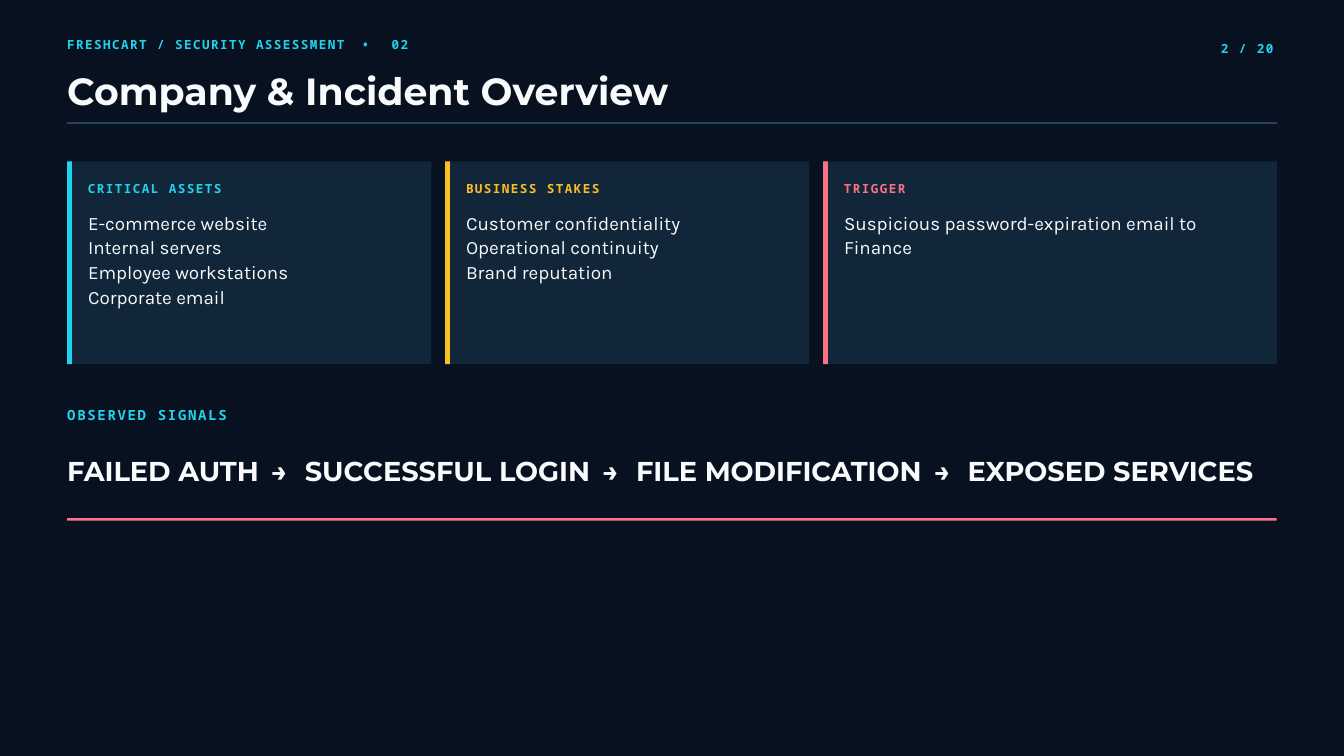
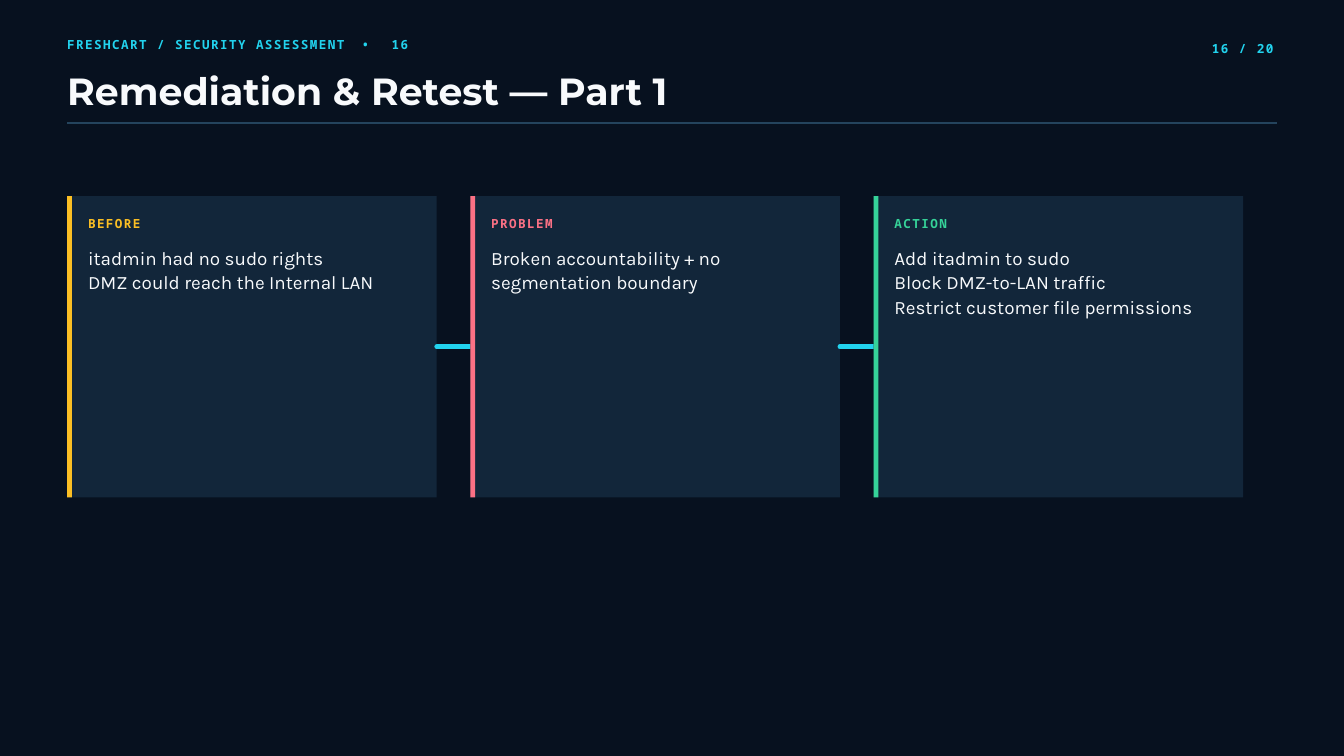
"""Builds two slides of a security assessment: the incident overview and the remediation plan."""
from dataclasses import dataclass, field
from itertools import pairwise
from typing import Any

import lxml.etree
import pptx
import pptx.dml.color
import pptx.enum.shapes
import pptx.enum.text
import pptx.oxml.ns
import pptx.util

Pt = pptx.util.Pt
RGBColor = pptx.dml.color.RGBColor
Align = pptx.enum.text.PP_ALIGN
qn = pptx.oxml.ns.qn

NIGHT = RGBColor(0x07, 0x11, 0x1F)
PANEL = RGBColor(0x12, 0x26, 0x3A)
RULE = RGBColor(0x24, 0x44, 0x5D)
WHITE = RGBColor(0xF8, 0xFA, 0xFC)
CYAN = RGBColor(0x22, 0xD3, 0xEE)
AMBER = RGBColor(0xFB, 0xBF, 0x24)
ROSE = RGBColor(0xFB, 0x71, 0x85)
GREEN = RGBColor(0x36, 0xD3, 0x99)

SLIDE_WIDTH = pptx.util.Inches(20)
SLIDE_HEIGHT = pptx.util.Inches(11.25)
COLUMN = SLIDE_WIDTH / 20
ROW = SLIDE_HEIGHT / 11.25
MARGIN = 1
CONTENT_WIDTH = 18
ACCENT_WIDTH = 0.07
CARD_INSET = 0.31
TOTAL_SLIDES = 20
COMPARISON_LAYOUT = 4
LIST_SLOTS = (1, 2, 4)
SPARE_SLOT = 3

FRAME_FORMAT = {
    "margin_left": 0, "margin_right": 0, "margin_top": 0, "margin_bottom": 0,
    "word_wrap": True,
    "vertical_anchor": pptx.enum.text.MSO_ANCHOR.TOP,
    "auto_size": pptx.enum.text.MSO_AUTO_SIZE.NONE,
}


@dataclass(frozen=True)
class Box:
    """A place on the slide, in columns and rows."""
    left: float
    top: float
    width: float
    height: float

    def emu(self) -> dict[str, int]:
        """Return the place as lengths of the slide."""
        return {"left": round(self.left * COLUMN), "top": round(self.top * ROW),
                "width": round(self.width * COLUMN), "height": round(self.height * ROW)}


@dataclass(frozen=True)
class TextStyle:
    """Font, line height and tracking of a kind of text, in points."""
    font: dict[str, Any]
    line_height: float
    tracking: float = 0
    separator: str = " • "
    separator_tracking: float = 0


@dataclass(frozen=True)
class Card:
    """A panel with a coloured edge, a label and a list."""
    label: str
    items: list[str]
    accent: RGBColor
    box: Box


@dataclass(frozen=True)
class Page:
    """The heading and the cards of one slide."""
    number: int
    title: str
    cards: list[Card] = field(default_factory=list)


def type_face(name: str, size: float, bold: bool) -> dict[str, Any]:
    """Return the font values of a style."""
    return {"name": name, "size": Pt(size), "bold": bold}


LABEL = TextStyle(type_face("Noto Sans Mono", 13.5, True), 18.9, 1.6, separator_tracking=8.1)
SECTION = TextStyle(type_face("Noto Sans Mono", 15, True), 21, 1.8)
TITLE = TextStyle(type_face("Montserrat", 40.5, True), 42.5)
HEADLINE = TextStyle(type_face("Montserrat", 29.2, True), 30.7,
                     separator=" → ", separator_tracking=5.1)
LIST = TextStyle(type_face("Karla", 20.2, False), 26.3)


def card_row(entries: list[tuple[str, list[str], RGBColor]], top: float, height: float,
             pitch: float, widths: list[float]) -> list[Card]:
    """Lay cards out from the margin at an even pitch."""
    return [Card(label, items, accent, Box(MARGIN + place * pitch, top, width, height))
            for place, ((label, items, accent), width) in enumerate(zip(entries, widths))]


OVERVIEW = Page(2, "Company & Incident Overview", card_row([
    ("CRITICAL ASSETS", ["E-commerce website", "Internal servers",
                         "Employee workstations", "Corporate email"], CYAN),
    ("BUSINESS STAKES", ["Customer confidentiality", "Operational continuity",
                         "Brand reputation"], AMBER),
    ("TRIGGER", ["Suspicious password-expiration email to Finance"], ROSE),
], top=2.4, height=3.02, pitch=5.625, widths=[5.42, 5.42, 6.75]))

REMEDIATION = Page(16, "Remediation & Retest — Part 1", card_row([
    ("BEFORE", ["itadmin had no sudo rights", "DMZ could reach the Internal LAN"], AMBER),
    ("PROBLEM", ["Broken accountability + no", "segmentation boundary"], ROSE),
    ("ACTION", ["Add itadmin to sudo", "Block DMZ-to-LAN traffic",
                "Restrict customer file permissions"], GREEN),
], top=2.92, height=4.48, pitch=6, widths=[5.5] * 3))


def add_run(paragraph: Any, text: str, style: TextStyle, ink: RGBColor, tracking: float) -> None:
    """Add a formatted run to a paragraph."""
    run = paragraph.add_run()
    run.text = text
    for name, value in style.font.items():
        setattr(run.font, name, value)
    run.font.color.rgb = ink
    if tracking:
        run.font._element.set("spc", str(round(tracking * 100)))


def write(holder: Any, box: Box, lines: list[str], style: TextStyle, ink: RGBColor,
          align: Any = Align.LEFT) -> None:
    """Place a text holder and fill it with one paragraph a line."""
    for name, value in box.emu().items():
        setattr(holder, name, value)
    frame = holder.text_frame
    for name, value in FRAME_FORMAT.items():
        setattr(frame, name, value)
    paragraph_format = {"alignment": align, "line_spacing": Pt(style.line_height),
                        "space_before": Pt(0), "space_after": Pt(0)}
    for place, line in enumerate(lines):
        paragraph = frame.add_paragraph() if place else frame.paragraphs[0]
        if holder.is_placeholder:
            properties = paragraph._p.get_or_add_pPr()
            properties.set("marL", "0")
            properties.set("indent", "0")
            lxml.etree.SubElement(properties, qn("a:buNone"))
        for name, value in paragraph_format.items():
            setattr(paragraph, name, value)
        for turn, piece in enumerate(line.split(style.separator)):
            if turn:
                add_run(paragraph, style.separator, style, ink, style.separator_tracking)
            add_run(paragraph, piece, style, ink, style.tracking)


def add_text(slide: Any, box: Box, text: str, style: TextStyle, ink: RGBColor,
             align: Any = Align.LEFT) -> None:
    """Add a text box with one line."""
    write(slide.shapes.add_textbox(**box.emu()), box, [text], style, ink, align)


def add_block(slide: Any, box: Box, fill: RGBColor) -> Any:
    """Add a plain filled rectangle."""
    block = slide.shapes.add_shape(pptx.enum.shapes.MSO_SHAPE.RECTANGLE, **box.emu())
    block.shadow.inherit = False
    block.fill.solid()
    block.fill.fore_color.rgb = fill
    block.line.fill.background()
    return block


def add_line(slide: Any, start: tuple[float, float], end: tuple[float, float],
             ink: RGBColor, weight: float) -> Any:
    """Add a straight connector between two grid points."""
    line = slide.shapes.add_connector(
        pptx.enum.shapes.MSO_CONNECTOR.STRAIGHT,
        round(start[0] * COLUMN), round(start[1] * ROW),
        round(end[0] * COLUMN), round(end[1] * ROW))
    line.line.color.rgb = ink
    line.line.width = Pt(weight)
    lxml.etree.SubElement(line._element.spPr, qn("a:effectLst"))
    return line


def add_card(slide: Any, card: Card, item_list: Any) -> Any:
    """Draw a card, set its list on top and return its panel."""
    box = card.box
    left, width = box.left + CARD_INSET, box.width - 2 * CARD_INSET
    panel = add_block(slide, box, PANEL)
    add_block(slide, Box(box.left, box.top, ACCENT_WIDTH, box.height), card.accent)
    add_text(slide, Box(left, box.top + 0.26, width, 0.25), card.label, LABEL, card.accent)
    write(item_list, Box(left, box.top + 0.72, width, 1.45), card.items, LIST, WHITE)
    slide.shapes._spTree.append(item_list._element)
    return panel


def add_link(slide: Any, before: Any, after: Any) -> None:
    """Join two neighbouring panels with a round-ended line."""
    link = add_line(slide, (0, 0), (1, 0), CYAN, 5.25)
    link.begin_connect(before, 3)
    link.end_connect(after, 1)
    link.line._get_or_add_ln().set("cap", "rnd")
    after._element.addprevious(link._element)


def add_page(deck: Any, page: Page) -> tuple[Any, list[Any]]:
    """Add a slide with its heading and cards."""
    slide = deck.slides.add_slide(deck.slide_layouts[COMPARISON_LAYOUT])
    slots = {slot.placeholder_format.idx: slot for slot in slide.placeholders}
    spare = slots[SPARE_SLOT]._element
    spare.getparent().remove(spare)
    add_text(slide, Box(MARGIN, 0.51, 9.38, 0.25),
             f"FRESHCART / SECURITY ASSESSMENT • {page.number:02}", LABEL, CYAN)
    write(slide.shapes.title, Box(MARGIN, 1.09, 15.62, 0.59), [page.title], TITLE, WHITE)
    add_text(slide, Box(17.6, 0.57, 1.35, 0.25), f"{page.number} / {TOTAL_SLIDES}",
             LABEL, CYAN, Align.RIGHT)
    add_line(slide, (MARGIN, 1.83), (MARGIN + CONTENT_WIDTH, 1.83), RULE, 1.5)
    panels = [add_card(slide, card, slots[slot]) for card, slot in zip(page.cards, LIST_SLOTS)]
    return slide, panels


def main() -> None:
    """Build and save the deck."""
    deck = pptx.Presentation()
    deck.slide_width, deck.slide_height = SLIDE_WIDTH, SLIDE_HEIGHT
    backdrop = deck.slide_master.background.fill
    backdrop.solid()
    backdrop.fore_color.rgb = NIGHT

    overview, _ = add_page(deck, OVERVIEW)
    add_text(overview, Box(MARGIN, 6.01, 5.21, 0.28), "OBSERVED SIGNALS", SECTION, CYAN)
    add_text(overview, Box(MARGIN, 6.82, CONTENT_WIDTH, 0.43),
             "FAILED AUTH → SUCCESSFUL LOGIN → FILE MODIFICATION → EXPOSED SERVICES",
             HEADLINE, WHITE)
    add_block(overview, Box(MARGIN, 7.71, CONTENT_WIDTH, 0.04), ROSE)

    remediation, panels = add_page(deck, REMEDIATION)
    for before, after in pairwise(panels):
        add_link(remediation, before, after)

    deck.save("out.pptx")


if __name__ == "__main__":
    main()
